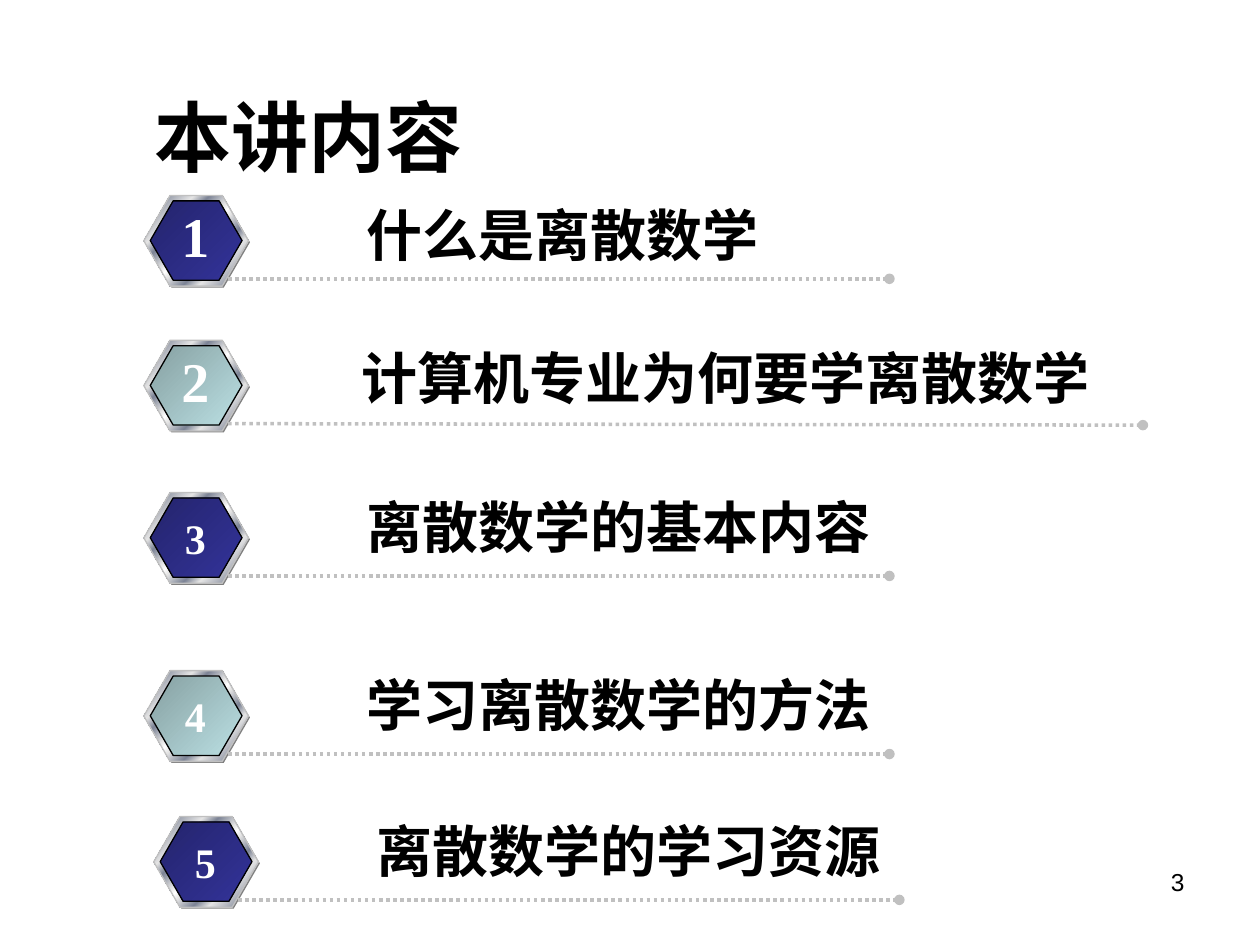
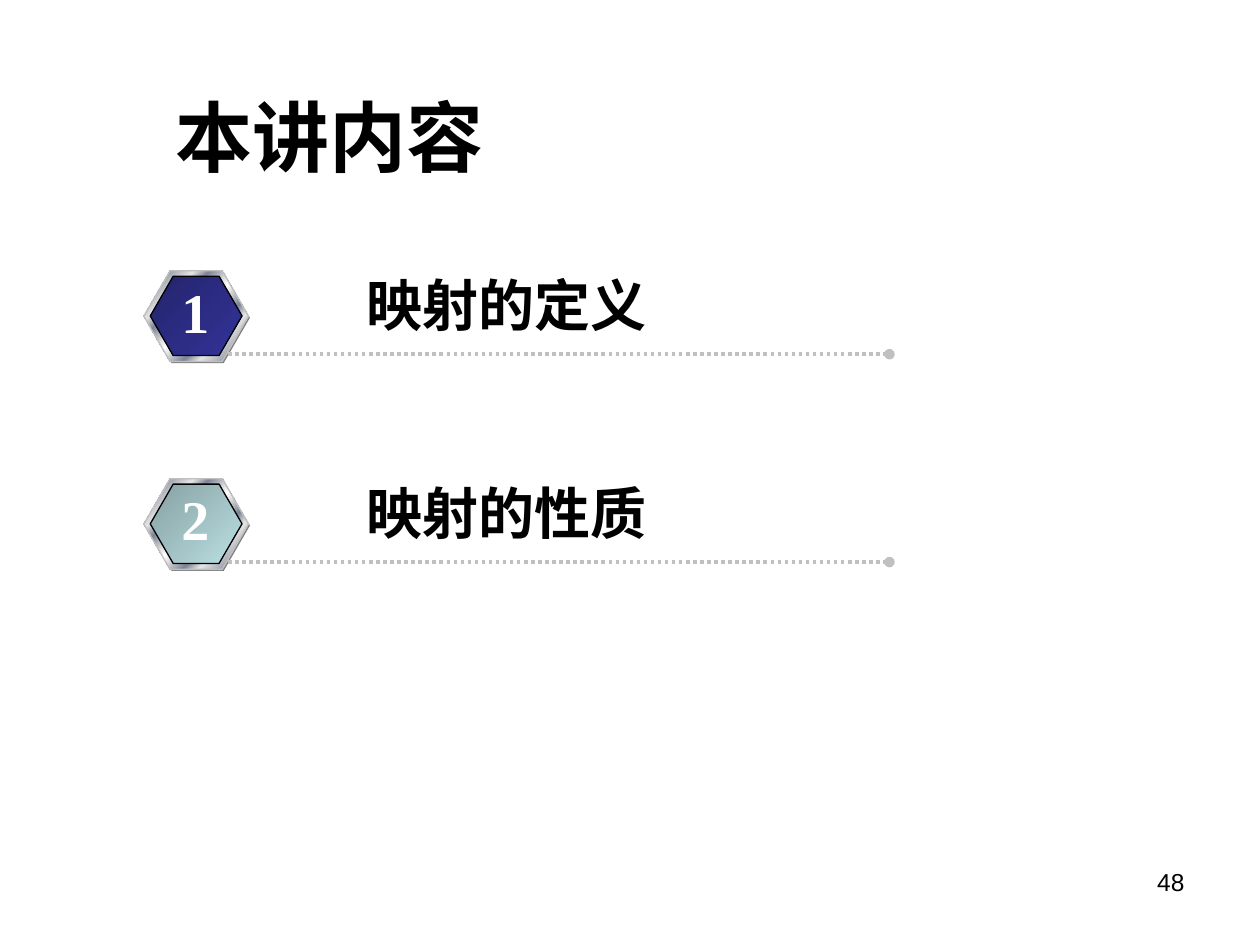
import pptx
import pptx.dml.color
import pptx.enum.dml
import pptx.enum.shapes
import pptx.enum.text
import pptx.oxml
import pptx.oxml.ns
import pptx.util

Cm, Pt = pptx.util.Cm, pptx.util.Pt
rgb = pptx.dml.color.RGBColor.from_string
qn = pptx.oxml.ns.qn
MSO_SHAPE = pptx.enum.shapes.MSO_SHAPE
MSO_CONNECTOR = pptx.enum.shapes.MSO_CONNECTOR
ALIGN = pptx.enum.text.PP_ALIGN
ANCHOR = pptx.enum.text.MSO_ANCHOR
AUTO = pptx.enum.text.MSO_AUTO_SIZE

BLACK, WHITE, SILVER, SHADOW = "000000", "FFFFFF", "C0C0C0", "808080"
LIGHT, STEEL = "E6E6E6", "7D8496"
CHROME = [(0, LIGHT), (8, STEEL), (26, LIGHT), (34, STEEL), (46, LIGHT), (50, WHITE),
          (54, LIGHT), (66, STEEL), (74, LIGHT), (92, STEEL), (100, LIGHT)]
FACES = [[(0, "24246D"), (100, "333399")], [(0, "86A0A2"), (100, "BBE0E3")]]

BADGE_X = 2.9
LINE_END = 17.93

# Slide: title, title left, page number, rows
# Row: badge top, label, number size, label rise, badge shift, label shift, line end, line drop
SLIDES = [
    ("本讲内容", 2.87, "3", [
        (3.94, "什么是离散数学", 32, 0.03, 0, 0, LINE_END, 0),
        (6.86, "计算机专业为何要学离散数学", 32, 0.05, 0, -0.1, 23.04, 0.03),
        (9.93, "离散数学的基本内容", 24, 0.13, 0, 0, LINE_END, 0),
        (13.52, "学习离散数学的方法", 24, 0.13, 0, 0, LINE_END, 0),
        (16.46, "离散数学的学习资源", 24, 0.13, 0.2, 0, LINE_END + 0.2, 0),
    ]),
    ("本讲内容", 3.28, "48", [
        (5.46, "映射的定义", 32, 0.13, 0, 0, LINE_END, 0),
        (9.65, "映射的性质", 32, 0.13, 0, 0, LINE_END, 0),
    ]),
]


def add_text(shapes, text, x, y, w, h, size, color=BLACK, font="Arial", bold=True,
             align=ALIGN.LEFT, wrap=False):
    sp = shapes.add_textbox(Cm(x), Cm(y), Cm(w), Cm(h))
    tf = sp.text_frame
    tf.word_wrap = wrap
    tf.auto_size = AUTO.NONE if wrap else AUTO.SHAPE_TO_FIT_TEXT
    tf.text = text
    p = tf.paragraphs[0]
    p.alignment = align
    r = p.runs[0]
    r.font.size, r.font.name, r.font.bold = Pt(size), font, bold
    r.font.color.rgb = rgb(color)
    return tf


def add_hexagon(shapes, x, y, w, h, stops, line=None):
    """Add a hexagon with a diagonal gradient, or a plain fill for a single stop."""
    sp = shapes.add_shape(MSO_SHAPE.HEXAGON, Cm(x), Cm(y), Cm(w), Cm(h))
    sp.adjustments[0] = 0.289
    sp.shadow.inherit = False
    if len(stops) == 1:
        sp.fill.solid()
        sp.fill.fore_color.rgb = rgb(stops[0][1])
    else:
        sp.fill.gradient()
        sp.fill.gradient_angle = 315
        gs_list = sp._element.spPr.find(qn("a:gradFill")).find(qn("a:gsLst"))
        for gs in list(gs_list):
            gs_list.remove(gs)
        for pos, color in stops:
            gs = pptx.oxml.parse_xml(
                f'<a:gs {pptx.oxml.ns.nsdecls("a")} pos="{pos * 1000}">'
                f'<a:srgbClr val="{color}"/></a:gs>')
            gs_list.append(gs)
    if line:
        sp.line.color.rgb = rgb(line)
        sp.line.width = Pt(0.75)
    else:
        sp.line.fill.background()


prs = pptx.Presentation()
prs.slide_width, prs.slide_height = Cm(25.4), Cm(19.05)

for title, title_x, page, rows in SLIDES:
    s = prs.slides.add_slide(prs.slide_layouts[6])
    tf = add_text(s.shapes, title, title_x, 1.12, 21.44, 3.23, 44, wrap=True)
    tf.vertical_anchor = ANCHOR.MIDDLE

    for i, (y, label, size, rise, shift, label_shift, end, drop) in enumerate(rows):
        x = BADGE_X + shift
        shapes = s.shapes.add_group_shape().shapes
        add_hexagon(shapes, x + 0.03, y + 0.03, 2.11, 1.83, [(0, SHADOW)])
        add_hexagon(shapes, x, y, 2.11, 1.83, CHROME, SILVER)
        add_hexagon(shapes, x + 0.13, y + 0.11, 1.85, 1.6, FACES[i % 2], BLACK)

        line_y = y + 1.68
        cxn = shapes.add_connector(MSO_CONNECTOR.STRAIGHT, Cm(x + 1.7), Cm(line_y),
                                   Cm(end), Cm(line_y + drop))
        cxn.line.color.rgb = rgb(SILVER)
        cxn.line.width = Pt(2)
        cxn.line.dash_style = pptx.enum.dml.MSO_LINE.ROUND_DOT
        ln = cxn.line._get_or_add_ln()
        ln.append(pptx.oxml.parse_xml(
            f'<a:tailEnd {pptx.oxml.ns.nsdecls("a")} type="oval"/>'))
        cxn._element.spPr.append(pptx.oxml.parse_xml(
            f'<a:effectLst {pptx.oxml.ns.nsdecls("a")}/>'))

        add_text(shapes, label, x + 4.24 + label_shift, y - rise,
                 len(label) * 1.13 + 0.51, 1.6, 32)
        number_w, number_h, number_drop = (1.07, 1.6, 0) if size == 32 else (0.94, 1.27, 0.28)
        add_text(shapes, str(i + 1), x + 1.04 - number_w / 2, y + number_drop,
                 number_w, number_h, size, WHITE, "Times New Roman", align=ALIGN.CENTER)

    add_text(s.shapes, page, 18.2, 17.35, 5.93, 1.32, 14, bold=False,
             align=ALIGN.RIGHT, wrap=True)

prs.save("out.pptx")
